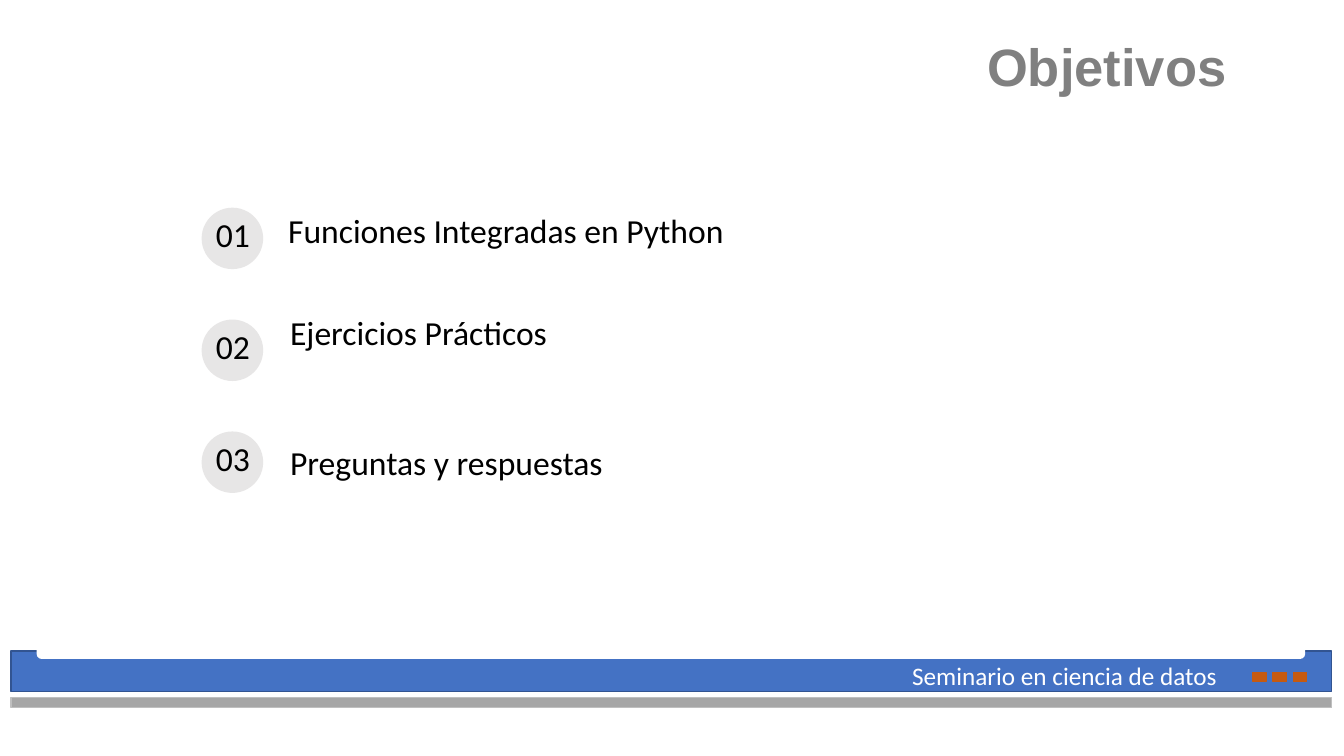
from dataclasses import dataclass
from pptx import Presentation
from pptx.dml.color import RGBColor
from pptx.enum.shapes import MSO_SHAPE as Kind
from pptx.enum.text import MSO_ANCHOR as Anchor, PP_ALIGN as Align
from pptx.util import Inches, Pt

WIDE, HIGH = Inches(13.33), Inches(7.5)


@dataclass(frozen=True)
class Theme:
    blue: str = "4472C4"
    navy: str = "325491"
    white: str = "FFFFFF"
    grey: str = "A6A6A6"
    edge: str = "BFBFBF"
    rust: str = "C55A11"
    disc: str = "E7E6E6"
    ink: str = "000000"
    head: str = "808080"
    face: str = "Calibri"
    bold: str = "Arial"
    big: float = 37.5
    mid: float = 24
    low: float = 18


LOOK = Theme()


def area(left, top, wide, high):
    """Turn percentages of the slide into lengths."""
    return [int(part * side / 100)
            for part, side in zip((left, top, wide, high), (WIDE, HIGH) * 2)]


def assign(thing, values):
    for name, value in values.items():
        setattr(thing, name, value)


def add_block(slide, kind, place, fill, line=None):
    shape = slide.shapes.add_shape(kind, *area(*place))
    shape.shadow.inherit = False
    shape.fill.solid()
    shape.fill.fore_color.rgb = RGBColor.from_string(fill)
    if line:
        shape.line.color.rgb = RGBColor.from_string(line)
        shape.line.width = Pt(1)
    else:
        shape.line.fill.background()


def write(shape, text, color, font, para=None, pads=(0.1, 0.05, 0.1, 0.05),
          anchor=Anchor.TOP):
    """Fill a shape with one paragraph; pads run left, top, right, bottom."""
    frame = shape.text_frame
    sides = ("margin_left", "margin_top", "margin_right", "margin_bottom")
    assign(frame, dict(zip(sides, map(Inches, pads))))
    assign(frame, {"word_wrap": True, "vertical_anchor": anchor})
    line = frame.paragraphs[0]
    assign(line, para or {})
    run = line.add_run()
    run.text = text
    assign(run.font, font)
    run.font.color.rgb = RGBColor.from_string(color)


def add_text(slide, place, *args, **more):
    write(slide.shapes.add_textbox(*area(*place)), *args, **more)


def add_title(slide, text):
    title = slide.shapes.title
    assign(title, dict(zip(("left", "top", "width", "height"),
                           area(10.58, 5.33, 82.5, 8))))
    write(title, text, LOOK.head,
          {"name": LOOK.bold, "size": Pt(LOOK.big), "bold": True},
          {"alignment": Align.RIGHT, "line_spacing": 0.7},
          (0.1, 0.05, 0.24, 0.05), Anchor.BOTTOM)


def add_footer(slide, text):
    add_block(slide, Kind.RECTANGLE, (0.83, 86.13, 98.25, 5.33),
              LOOK.blue, LOOK.navy)
    add_block(slide, Kind.ROUNDED_RECTANGLE, (2.78, 83.6, 94.28, 3.47),
              LOOK.white, LOOK.white)
    add_block(slide, Kind.RECTANGLE, (0.83, 92.27, 98.25, 1.33),
              LOOK.grey, LOOK.edge)
    for step in range(3):
        add_block(slide, Kind.RECTANGLE, (93.23 + 1.5 * step, 88.93, 0.98, 1.2),
                  LOOK.rust, LOOK.rust)
    add_text(slide, (67.13, 86.67, 25.88, 5.33), text, LOOK.white,
             {"name": LOOK.face, "size": Pt(LOOK.low)})


def add_goal(slide, row, text, place):
    """Draw a numbered disc and its goal."""
    down = 14.8 * row
    font = {"name": LOOK.face, "size": Pt(LOOK.mid)}
    add_block(slide, Kind.OVAL, (15, 27.47 + down, 4.58, 8.13), LOOK.disc)
    add_text(slide, (13.95, 26.27 + down, 6.75, 8.13), f"{row + 1:02}",
             LOOK.ink, font, {"alignment": Align.CENTER, "line_spacing": 0.9},
             (0.1, 0.2, 0.1, 0.1))
    add_text(slide, place, text, LOOK.ink, font,
             {"line_spacing": 0.9, "space_after": Pt(12)}, (0.1, 0, 0.1, 0.1))


def main():
    deck = Presentation()
    assign(deck, {"slide_width": WIDE, "slide_height": HIGH})
    slide = deck.slides.add_slide(deck.slide_layouts[5])
    add_footer(slide, "Seminario en ciencia de datos")
    add_title(slide, "Objetivos")
    goals = (
        ("Funciones Integradas en Python", (20.7, 28.4, 40, 7.73)),
        ("Ejercicios Prácticos", (20.85, 41.87, 30.83, 10.53)),
        ("Preguntas y respuestas", (20.85, 59.07, 26.85, 8.13)),
    )
    for row, (text, place) in enumerate(goals):
        add_goal(slide, row, text, place)
    deck.save("out.pptx")


if __name__ == "__main__":
    main()
